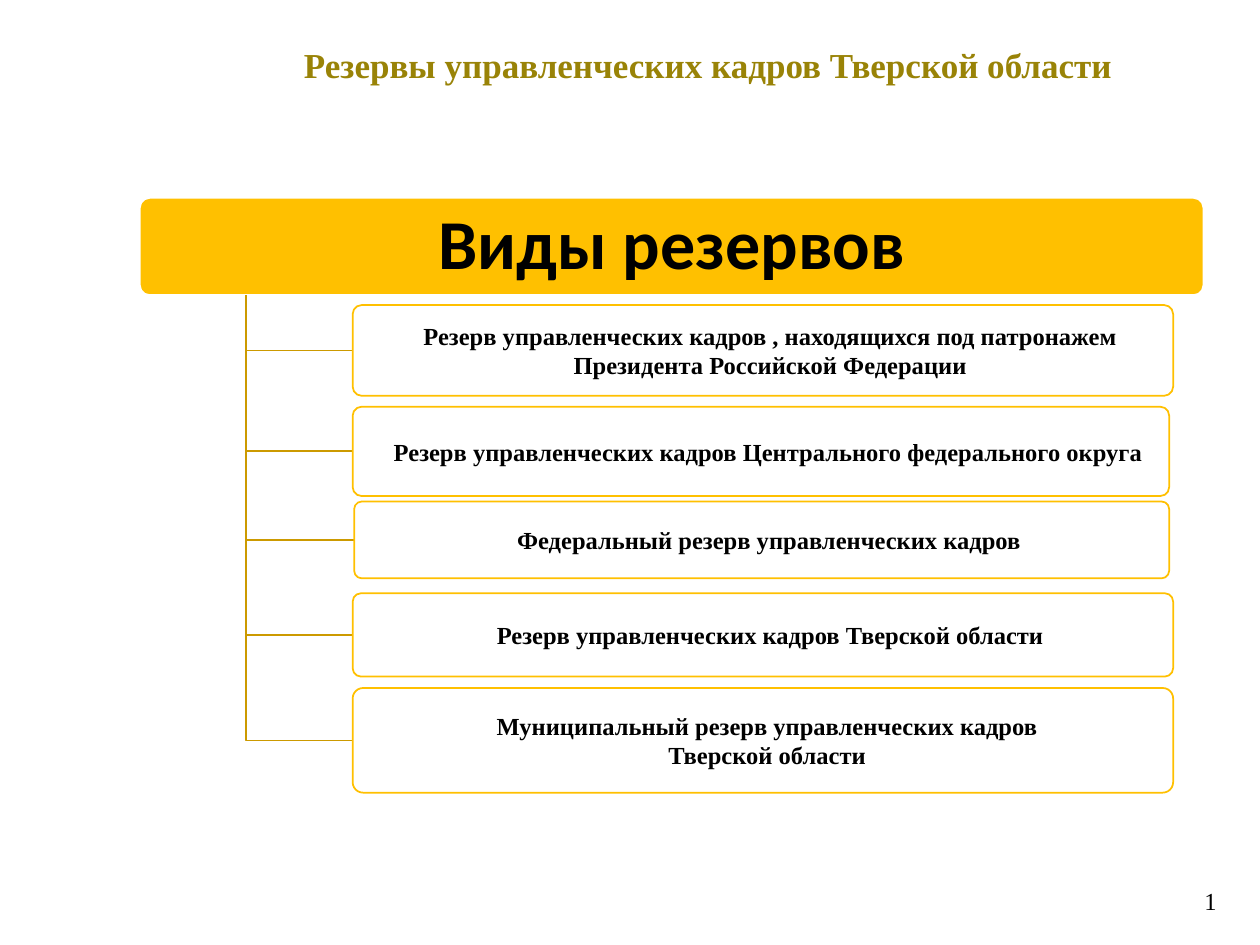
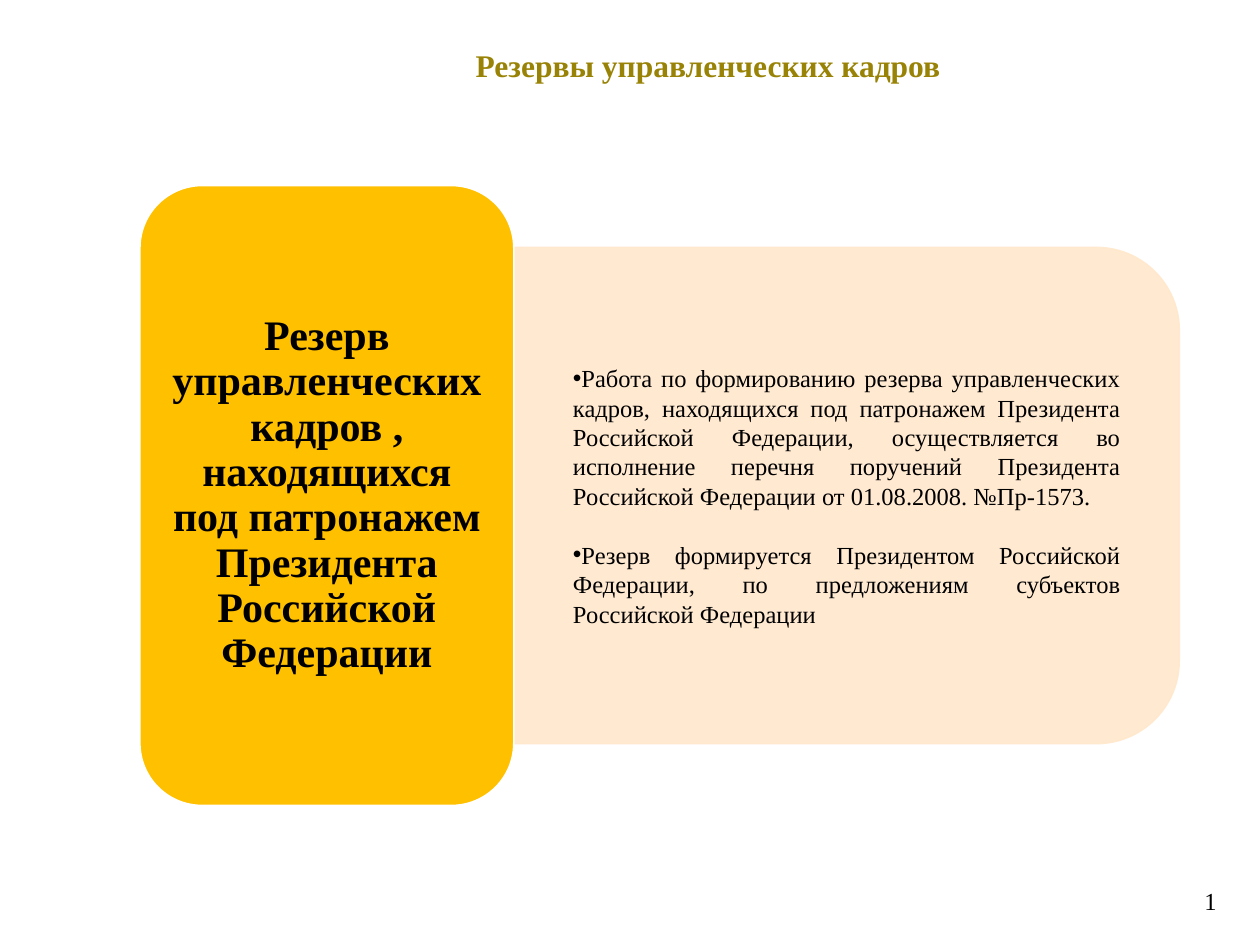
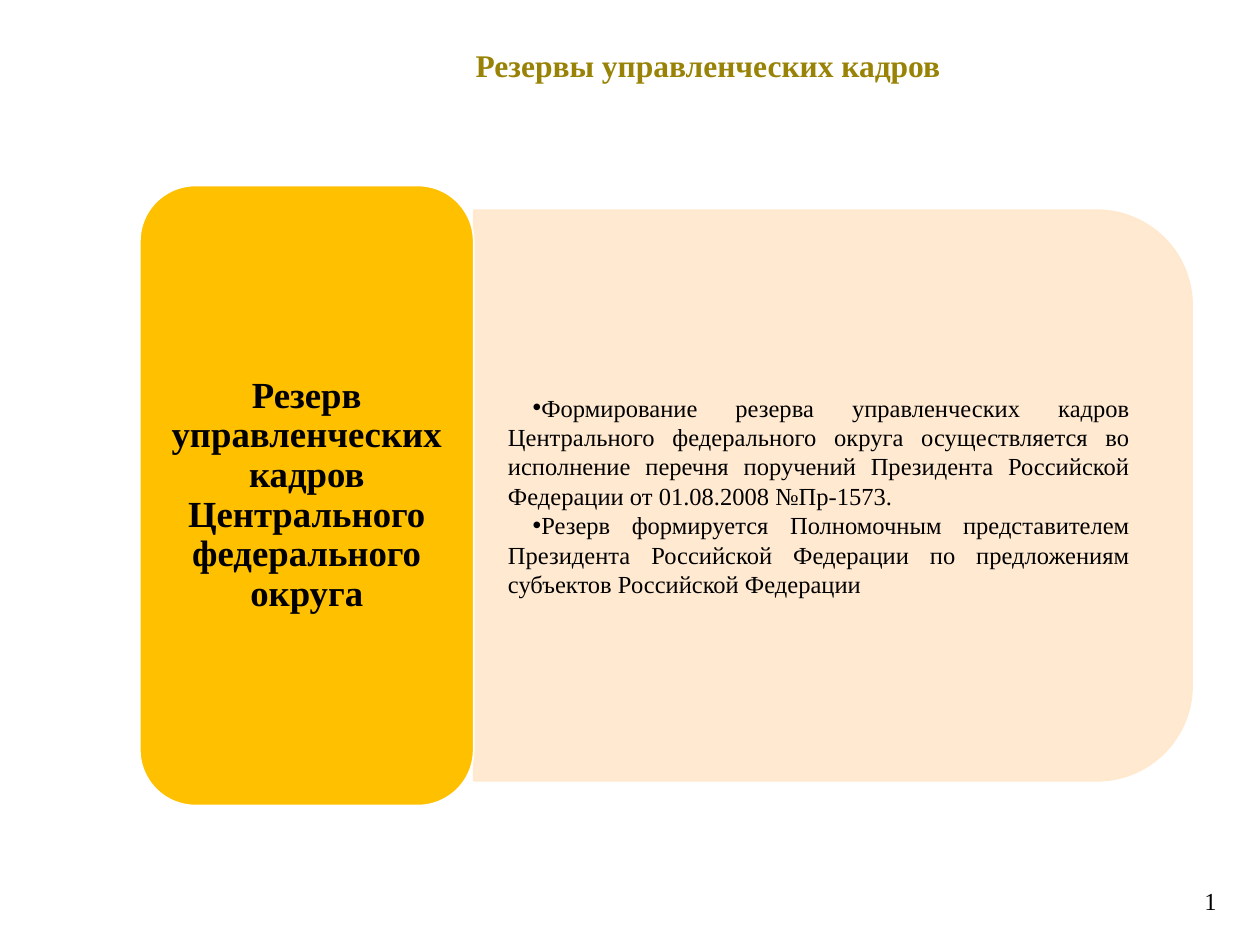
import lxml.etree
import pptx
import pptx.dml.color
import pptx.enum.shapes
import pptx.enum.text
import pptx.oxml.ns
import pptx.util

Cm = pptx.util.Cm
Pt = pptx.util.Pt
RGBColor = pptx.dml.color.RGBColor
MSO_SHAPE = pptx.enum.shapes.MSO_SHAPE
PP_ALIGN = pptx.enum.text.PP_ALIGN
MSO_ANCHOR = pptx.enum.text.MSO_ANCHOR

OLIVE = RGBColor(0x99, 0x83, 0x07)
GOLD = RGBColor(0xFF, 0xC0, 0x00)
DARK_GOLD = RGBColor(0xCC, 0x9A, 0x00)
PEACH = RGBColor(0xFF, 0xE8, 0xCC)
WHITE = RGBColor(0xFF, 0xFF, 0xFF)
BLACK = RGBColor(0x00, 0x00, 0x00)

SERIF = "Times New Roman"
TITLE_FONT = {"name": SERIF, "bold": True}
TITLE_FRAME = {"margin_bottom": Cm(0.89)}
BODY_FONT = {"name": SERIF, "size": Pt(14), "bold": False}
ROW_FONT = {"name": SERIF, "size": Pt(14), "bold": True}
ROW_FRAME = {"margin_left": Cm(0.08), "margin_right": Cm(0.08),
             "margin_top": Cm(0.05), "margin_bottom": Cm(0.05)}
LIST_FRAME = {"margin_left": Cm(0.69), "margin_right": Cm(0.69),
              "margin_top": Cm(0.36), "margin_bottom": Cm(0.36)}
LABEL_PARAGRAPH = {"alignment": PP_ALIGN.CENTER, "line_spacing": 0.9}


def write_text(shape, texts, font, paragraph_format, frame_format=None,
               color=BLACK, indents=(0, 0)):
    """Fill a shape with formatted paragraphs; indents are margin and first line."""
    frame = shape.text_frame
    frame.text = "\n".join(texts)
    frame_values = {"word_wrap": True, "vertical_anchor": MSO_ANCHOR.MIDDLE,
                    "auto_size": pptx.enum.text.MSO_AUTO_SIZE.NONE}
    frame_values.update(frame_format or {})
    for name, value in frame_values.items():
        setattr(frame, name, value)
    for paragraph in frame.paragraphs:
        for name, value in paragraph_format.items():
            setattr(paragraph, name, value)
        properties = paragraph._p.get_or_add_pPr()
        properties.set("marL", str(indents[0]))
        properties.set("indent", str(indents[1]))
        for run in paragraph.runs:
            for name, value in font.items():
                setattr(run.font, name, value)
            run.font.color.rgb = color


def style_shape(shape, fill, line, opacity=100, line_opacity=100):
    """Set fill, a one-point line, opacity in percent, and no shadow."""
    shape.shadow.inherit = False
    if fill is None:
        shape.fill.background()
    else:
        shape.fill.solid()
        shape.fill.fore_color.rgb = fill
    shape.line.color.rgb = line
    shape.line.width = Pt(1)
    for part, percent in (("p:spPr/a:solidFill", opacity),
                          ("p:spPr/a:ln/a:solidFill", line_opacity)):
        if percent < 100:
            solid = shape.element.find("/".join(
                pptx.oxml.ns.qn(step) for step in part.split("/")))
            lxml.etree.SubElement(solid[0], pptx.oxml.ns.qn("a:alpha"),
                                  val=str(percent * 1000))


presentation = pptx.Presentation()
presentation.slide_width = Cm(25.4)
presentation.slide_height = Cm(19.05)

# Title and page number shared by all slides
TITLE_ONLY, TITLE_AND_CONTENT = 5, 1
slides = []
for layout, title_text, title_size in (
        (TITLE_ONLY, "Резервы управленческих кадров Тверской области", 20),
        (TITLE_AND_CONTENT, "Резервы управленческих кадров", 18),
        (TITLE_AND_CONTENT, "Резервы управленческих кадров", 18)):
    slide = presentation.slides.add_slide(presentation.slide_layouts[layout])
    title = slide.shapes.title
    title.left, title.top, title.width, title.height = (
        Cm(4.52), Cm(0.61), Cm(19.51), Cm(2.16))
    write_text(title, [title_text], {**TITLE_FONT, "size": Pt(title_size)},
               {"alignment": PP_ALIGN.CENTER}, TITLE_FRAME, OLIVE)
    number = slide.shapes.add_textbox(Cm(24.03), Cm(17.73), Cm(1.04), Cm(0.86))
    write_text(number, ["1"], BODY_FONT, {"alignment": PP_ALIGN.LEFT},
               {"vertical_anchor": MSO_ANCHOR.TOP})
    slides.append(slide)

# Slide 1: hierarchy of reserve kinds
shapes = slides[0].shapes
header = shapes.add_shape(MSO_SHAPE.ROUNDED_RECTANGLE,
                          Cm(2.82), Cm(3.99), Cm(21.44), Cm(1.96))
header.adjustments[0] = 0.1
style_shape(header, GOLD, WHITE)
write_text(header, ["Виды резервов"],
           {"name": "Calibri", "size": Pt(40), "bold": True}, LABEL_PARAGRAPH)

trunk_left = header.left + header.width // 10
trunk_top = header.top + header.height
# left, top, width, height in centimetres, then the text
reserve_rows = (
    (7.11, 6.15, 16.54, 1.83,
     ["Резерв управленческих кадров , находящихся под патронажем "
      "Президента Российской Федерации"]),
    (7.11, 8.2, 16.46, 1.8,
     ["Резерв управленческих кадров Центрального федерального округа"]),
    (7.14, 10.11, 16.43, 1.55, ["Федеральный резерв управленческих кадров"]),
    (7.11, 11.96, 16.54, 1.68,
     ["Резерв управленческих кадров Тверской области"]),
    (7.11, 13.87, 16.54, 2.11,
     ["Муниципальный резерв управленческих кадров ", "Тверской области "]),
)
for left, top, width, height, texts in reserve_rows:
    middle = Cm(top + height / 2)
    builder = shapes.build_freeform(trunk_left, trunk_top)
    builder.add_line_segments(
        [(trunk_left, middle), (Cm(left), middle)], close=False)
    style_shape(builder.convert_to_shape(), None, DARK_GOLD)
    row = shapes.add_shape(MSO_SHAPE.ROUNDED_RECTANGLE,
                           Cm(left), Cm(top), Cm(width), Cm(height))
    row.adjustments[0] = 0.1
    style_shape(row, WHITE, GOLD, opacity=90)
    write_text(row, texts, ROW_FONT, {"alignment": PP_ALIGN.CENTER},
               ROW_FRAME, indents=(Cm(0.3), 0))

# Slides 2 and 3: a label on the left, a panel with a list on the right
LABEL_LEFT, LABEL_TOP, LABEL_HEIGHT = Cm(2.82), Cm(3.74), Cm(12.5)
reserve_details = (
    {"label": "Резерв управленческих кадров , находящихся под патронажем "
              "Президента Российской Федерации",
     "label_size": 24, "label_width": Cm(7.54),
     "panel_width": Cm(13.41), "panel_share": 0.8,
     "indents": (Cm(0.5), 0), "item_gap": Pt(16.8),
     "items": [
         "Работа по формированию резерва управленческих кадров, находящихся "
         "под патронажем Президента Российской Федерации, осуществляется во "
         "исполнение перечня поручений Президента Российской Федерации от "
         "01.08.2008. №Пр-1573.",
         "Резерв формируется Президентом Российской Федерации, по "
         "предложениям субъектов Российской Федерации"]},
    {"label": "Резерв управленческих кадров Центрального федерального округа",
     "label_size": 21, "label_width": Cm(6.73),
     "panel_width": Cm(14.48), "panel_share": 0.92,
     "indents": (0, Cm(0.5)), "item_gap": Pt(0),
     "items": [
         "Формирование резерва управленческих кадров Центрального "
         "федерального округа осуществляется во исполнение перечня поручений "
         "Президента Российской Федерации от 01.08.2008 №Пр-1573.",
         "Резерв формируется Полномочным представителем Президента "
         "Российской Федерации по предложениям субъектов Российской "
         "Федерации "]},
)
for slide, detail in zip(slides[1:], reserve_details):
    panel_left = LABEL_LEFT + detail["label_width"]
    panel_width = detail["panel_width"]
    panel_height = int(LABEL_HEIGHT * detail["panel_share"])
    center_x = panel_left + panel_width // 2
    center_y = LABEL_TOP + LABEL_HEIGHT // 2

    # The panel is turned a quarter, so its frame has the sides swapped
    panel = slide.shapes.add_shape(
        MSO_SHAPE.ROUND_2_SAME_RECTANGLE,
        center_x - panel_height // 2, center_y - panel_width // 2,
        panel_height, panel_width)
    panel.rotation = 90
    style_shape(panel, PEACH, PEACH, opacity=90, line_opacity=90)

    body = slide.placeholders[1]
    body.element.addprevious(panel.element)
    corner = int(panel_height * 0.049)
    body.left, body.top = panel_left, center_y - panel_height // 2 + corner
    body.width, body.height = panel_width - corner, panel_height - 2 * corner
    write_text(body, detail["items"], BODY_FONT,
               {"alignment": PP_ALIGN.JUSTIFY, "space_before": Pt(0)},
               LIST_FRAME, indents=detail["indents"])
    body.text_frame.paragraphs[1].space_before = detail["item_gap"]

    label = slide.shapes.add_shape(
        MSO_SHAPE.ROUNDED_RECTANGLE,
        LABEL_LEFT, LABEL_TOP, detail["label_width"], LABEL_HEIGHT)
    style_shape(label, GOLD, WHITE)
    write_text(label, [detail["label"]],
               {**TITLE_FONT, "size": Pt(detail["label_size"])},
               LABEL_PARAGRAPH)

presentation.save("out.pptx")
